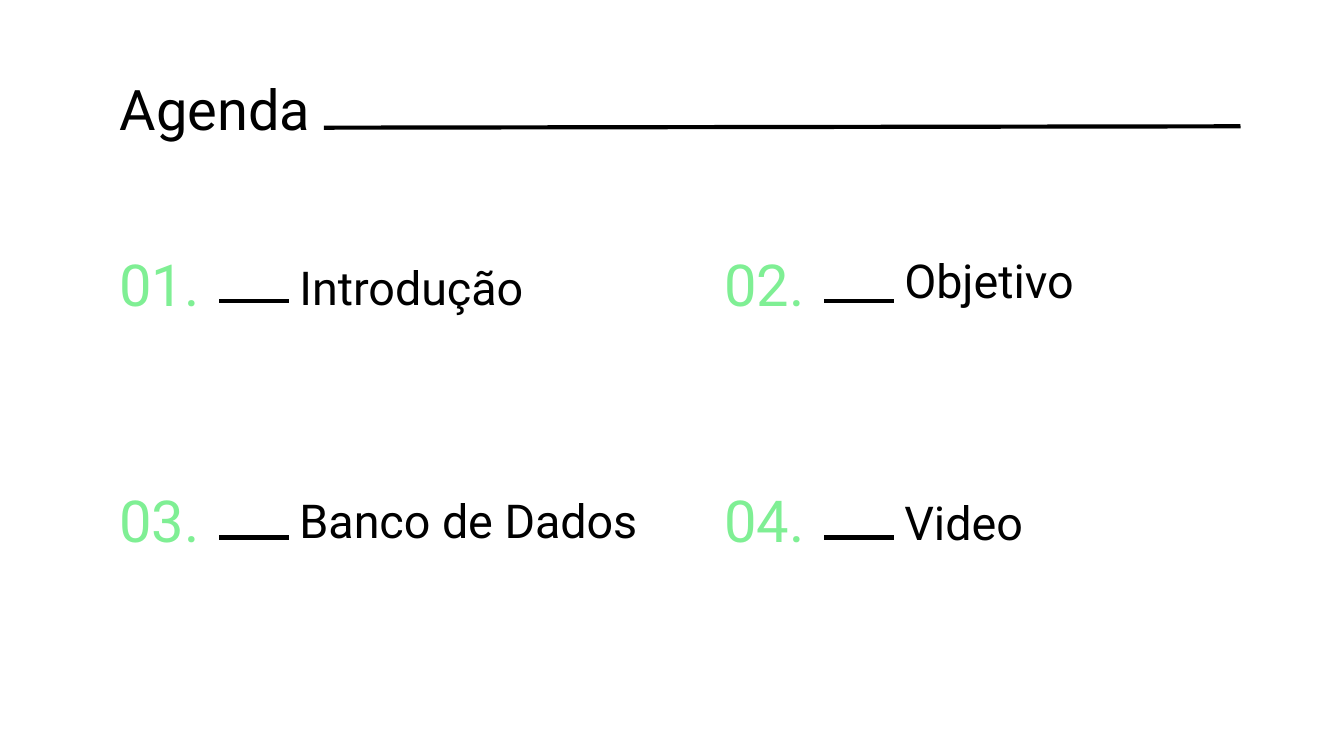
from lxml import etree
from pptx import Presentation, util as u
from pptx.dml.color import RGBColor
from pptx.enum import shapes, text
from pptx.oxml.ns import qn

BLACK, GREEN = "000000", "7FEF94"
MID, LOW = text.MSO_ANCHOR.MIDDLE, text.MSO_ANCHOR.BOTTOM

# Widescreen slide, 16 to 9
prs = Presentation()
prs.slide_width = u.Inches(10)
prs.slide_height = u.Inches(10 * 9 / 16)
slide = prs.slides.add_slide(prs.slide_layouts[5])


def write(box, words, area, size, color, anchor=MID):
    box.left, box.top, box.width, box.height = map(u.Inches, area)
    frame = box.text_frame
    frame.text = words
    frame.word_wrap = True
    frame.auto_size = text.MSO_AUTO_SIZE.NONE
    frame.vertical_anchor = anchor
    frame.margin_left = frame.margin_right = u.Inches(0.1)
    frame.margin_top = frame.margin_bottom = u.Inches(0.1)
    para = frame.paragraphs[0]
    para.alignment = text.PP_ALIGN.LEFT
    para.font.name, para.font.size = "Roboto", u.Pt(size)
    para.font.color.rgb = RGBColor.from_string(color)


def rule(*ends):
    line = slide.shapes.add_connector(
        shapes.MSO_CONNECTOR.STRAIGHT, *map(u.Inches, ends))
    line.line.width = u.Pt(2.25)
    line.line.color.rgb = RGBColor.from_string(BLACK)
    etree.SubElement(line.element.spPr, qn("a:effectLst"))


# Title and its rule
write(slide.shapes.title, "Agenda", (0.79, 0.49, 8.43, 0.63), 30, BLACK)
rule(9.23, 0.94, 2.41, 0.95)

# Agenda items on a two-by-two grid: label, top, width, anchor
left, top = 0.79, 1.78
col, row = 4.5, 1.76
items = [
    ("Introdução", 1.41, 2.09, LOW),
    ("Objetivo", 1.57, 2.82, MID),
    ("Banco de Dados", 3.35, 2.94, MID),
    ("Video", 3.37, 2.32, MID),
]
for i, (label, y, width, anchor) in enumerate(items):
    x0 = left + i % 2 * col
    y0 = top + i // 2 * row
    num = slide.shapes.add_textbox(0, 0, 0, 0)
    write(num, f"{i + 1:02}.", (x0, y0, 0.87, 0.65), 31, GREEN)
    rule(x0 + 1.36, y0 + 0.46, x0 + 0.84, y0 + 0.46)
    name = slide.shapes.add_textbox(0, 0, 0, 0)
    write(name, label, (x0 + 1.34, y, width, 1.03), 25, BLACK, anchor)

prs.save("out.pptx")
